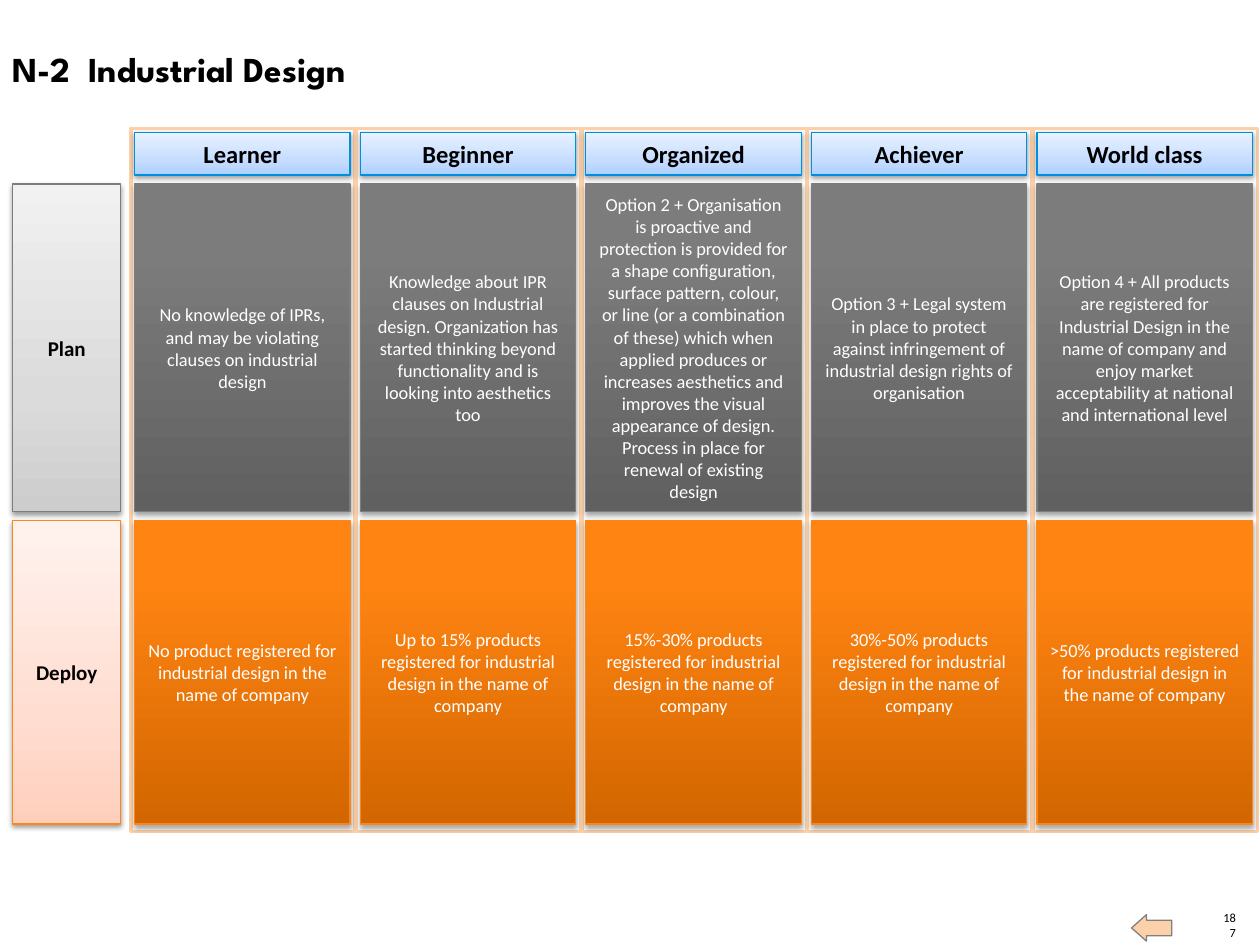
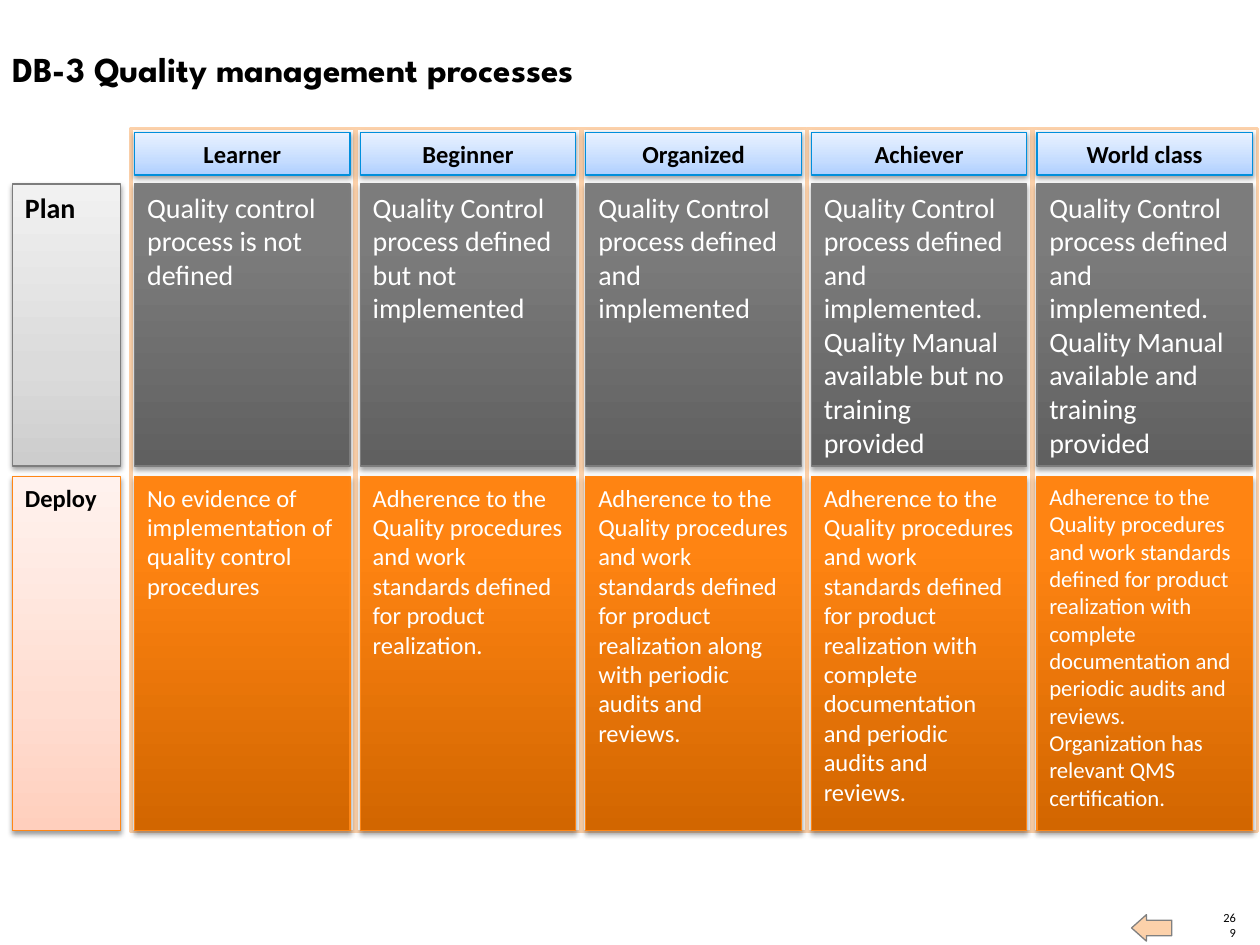
from copy import deepcopy

from lxml import etree
from pptx import Presentation
from pptx.dml.color import RGBColor
from pptx.enum.shapes import MSO_SHAPE
from pptx.enum.text import MSO_ANCHOR, PP_ALIGN
from pptx.oxml.ns import qn
from pptx.util import Pt

RECT, ARROW = MSO_SHAPE.RECTANGLE, MSO_SHAPE.RIGHT_ARROW
TOP, MIDDLE, BOTTOM = MSO_ANCHOR.TOP, MSO_ANCHOR.MIDDLE, MSO_ANCHOR.BOTTOM
LEFT, CENTER, RIGHT = PP_ALIGN.LEFT, PP_ALIGN.CENTER, PP_ALIGN.RIGHT


class Theme:
    body, head = "Calibri", "League Spartan"
    black, white, peach, grey = "000000", "FFFFFF", "FCD1AA", "808080"
    title_size, head_size, page_size = 20, 14, 7.1
    # fill stops, line colour, text colour, shadow (opacity %, distance)
    soft, deep = (38, 1.6), (35, 1.8)
    looks = {
        "head": (((0, "AECFFF"), (.35, "C6DDFF"), (1, "E9F2FF")), "008FDC", black, soft),
        "plan_tag": (((0, "CDCDCD"), (.35, "DBDBDB"), (1, "F1F1F1")), "7D7D7D", black, soft),
        "deploy_tag": (((0, "FFCFBD"), (.35, "FFDDD1"), (1, "FFF2EE")), "FF8615", black, soft),
        "plan": (((0, "606060"), (.8, "7C7C7C"), (1, "7D7D7D")), "7D7D7D", white, deep),
        "deploy": (((0, "D26600"), (.8, "FF8412"), (1, "FF8514")), "FF8615", white, deep),
    }


LEVELS = ("Learner", "Beginner", "Organized", "Achiever", "World class")
TAG_X, TAG_W = 7.2, 61.9
CELL_X, CELL_W, STEP = 77, 123.1, 128.88
FRAME_X, FRAME_Y, FRAME_W, FRAME_H = 74.8, 73.4, 128.2, 401.8
HEAD_Y, HEAD_H = 75.6, 24.5
TITLE_TAB = 43.5

WORK = "Adherence to the Quality procedures and work standards defined for product realization"
FULL = WORK + " with complete documentation and periodic audits and reviews."
DONE = "Quality Control process defined and implemented"
SHARE = "{} products registered for industrial design in the name of company"

# Each row: look, tag, tag size, top, height, cell sizes, cell texts
PAGES = [
    {"title": "N-2\tIndustrial Design", "page": "187", "anchor": MIDDLE, "align": CENTER,
     "rows": [
         ("plan", "Plan", 12, 105.1, 187.2, [10.5] * 5, [
             "No knowledge of IPRs, and may be violating clauses on industrial design",
             "Knowledge about IPR clauses on Industrial design. Organization has started "
             "thinking beyond functionality and is looking into aesthetics too",
             "Option 2 + Organisation is proactive and protection is provided for a shape "
             "configuration, surface pattern, colour, or line (or a combination of these) "
             "which when applied produces or increases aesthetics and improves the visual "
             "appearance of design. Process in place for renewal of existing design",
             "Option 3 + Legal system in place to protect against infringement of "
             "industrial design rights of organisation",
             "Option 4 + All products are registered for Industrial Design in the name of "
             "company and enjoy market acceptability at national and international level"]),
         ("deploy", "Deploy", 12, 297.4, 173.5, [10.5] * 5, [
             "No product registered for industrial design in the name of company",
             *map(SHARE.format, ("Up to 15%", "15%-30%", "30%-50%", ">50%"))]),
     ]},
    {"title": "DB-3 Quality management processes", "page": "269", "anchor": TOP, "align": LEFT,
     "rows": [
         ("plan", "Plan", 16, 105.1, 161.3, [16] * 5, [
             "Quality control process is not defined",
             "Quality Control process defined but not implemented",
             DONE,
             DONE + ". Quality Manual available but no training provided",
             DONE + ". Quality Manual available and training provided"]),
         ("deploy", "Deploy", 14, 272.2, 202.3, [14] * 4 + [13], [
             "No evidence of implementation of quality control procedures",
             WORK + ".",
             WORK + " along with periodic audits and reviews.",
             FULL,
             FULL + " Organization has relevant QMS certification."]),
     ]},
]


class Deck:
    def __init__(self, theme):
        self.theme = theme
        self.show = Presentation()
        self.show.slide_width, self.show.slide_height = Pt(720), Pt(540)
        self.slide = None

    def add(self):
        self.slide = self.show.slides.add_slide(self.show.slide_layouts[6])

    def label(self, shape, text, size, color, anchor=TOP, align=LEFT, **extra):
        frame = shape.text_frame
        frame.word_wrap = True
        frame.vertical_anchor = anchor
        para = frame.paragraphs[0]
        para.alignment = align
        run = para.add_run()
        run.text = text
        font = run.font
        font.color.rgb = RGBColor.from_string(color)
        for key, value in {"name": self.theme.body, "size": Pt(size), **extra}.items():
            setattr(font, key, value)

    def text(self, box, text, size, **extra):
        shape = self.slide.shapes.add_textbox(*map(Pt, box))
        self.label(shape, text, size, self.theme.black, **extra)
        return shape

    def title(self, text):
        shape = self.text((0, 23.8, 619.2, 31.7), text, self.theme.title_size,
                          name=self.theme.head, bold=True)
        props = shape.text_frame.paragraphs[0]._p.get_or_add_pPr()
        tabs = etree.SubElement(props, qn("a:tabLst"))
        etree.SubElement(tabs, qn("a:tab"), pos=str(Pt(TITLE_TAB)), algn="l")

    def page(self, text):
        shape = self.text((697.7, 528.5, 8.6, 8.6), text, self.theme.page_size,
                          anchor=BOTTOM, align=RIGHT)
        for side in ("left", "top", "right", "bottom"):
            setattr(shape.text_frame, "margin_" + side, 0)

    def shape(self, kind, box, line, width=.75, fill=None):
        shape = self.slide.shapes.add_shape(kind, *map(Pt, box))
        shape.shadow.inherit = False
        shape.line.color.rgb = RGBColor.from_string(line)
        shape.line.width = Pt(width)
        if fill:
            shape.fill.solid()
            shape.fill.fore_color.rgb = RGBColor.from_string(fill)
        return shape

    def back(self):
        """Draw the arrow that points back, at the foot of the slide."""
        arrow = self.shape(ARROW, (646.6, 522.7, 23, 15.1), self.theme.grey,
                           fill=self.theme.peach)
        arrow.rotation = 180
        arrow.adjustments[0], arrow.adjustments[1] = .59, .56

    def blend(self, shape, stops):
        """Fill the shape with a gradient that runs upwards."""
        fill = shape.fill
        fill.gradient()
        fill.gradient_angle = 90
        items = shape._element.spPr.find(".//" + qn("a:gsLst"))
        items.append(deepcopy(items[-1]))
        for stop, (place, color) in zip(fill.gradient_stops, stops):
            stop.position = place
            stop.color.rgb = RGBColor.from_string(color)

    def shade(self, shape, alpha, dist):
        """Drop a black shadow straight down."""
        effects = shape._element.spPr.find(qn("a:effectLst"))
        drop = etree.SubElement(effects, qn("a:outerShdw"), blurRad=str(Pt(3.1)),
                                dist=str(Pt(dist)), dir="5400000", rotWithShape="0")
        color = etree.SubElement(drop, qn("a:srgbClr"), val=self.theme.black)
        etree.SubElement(color, qn("a:alpha"), val=str(alpha * 1000))

    def tile(self, look, box, text, size, **extra):
        stops, line, color, shadow = self.theme.looks[look]
        shape = self.shape(RECT, box, line)
        self.blend(shape, stops)
        self.shade(shape, *shadow)
        self.label(shape, text, size, color, **extra)

    def grid(self, rows, **place):
        """Draw row tags, column frames, cells and column heads."""
        for look, tag, size, top, high, _, _ in rows:
            self.tile(look + "_tag", (TAG_X, top, TAG_W, high), tag, size, bold=True, **place)
        for col in range(len(LEVELS)):
            self.shape(RECT, (FRAME_X + col * STEP, FRAME_Y, FRAME_W, FRAME_H),
                       self.theme.peach, 2, self.theme.white)
        for look, _, _, top, high, sizes, texts in rows:
            for col, (size, text) in enumerate(zip(sizes, texts)):
                self.tile(look, (CELL_X + col * STEP, top, CELL_W, high), text, size, **place)
        for col, level in enumerate(LEVELS):
            self.tile("head", (CELL_X + col * STEP, HEAD_Y, CELL_W, HEAD_H), level,
                      self.theme.head_size, anchor=MIDDLE, align=CENTER, bold=True)


def main():
    deck = Deck(Theme())
    for page in PAGES:
        deck.add()
        deck.page(page["page"])
        deck.back()
        deck.title(page["title"])
        deck.grid(page["rows"], anchor=page["anchor"], align=page["align"])
    deck.show.save("out.pptx")


if __name__ == "__main__":
    main()
